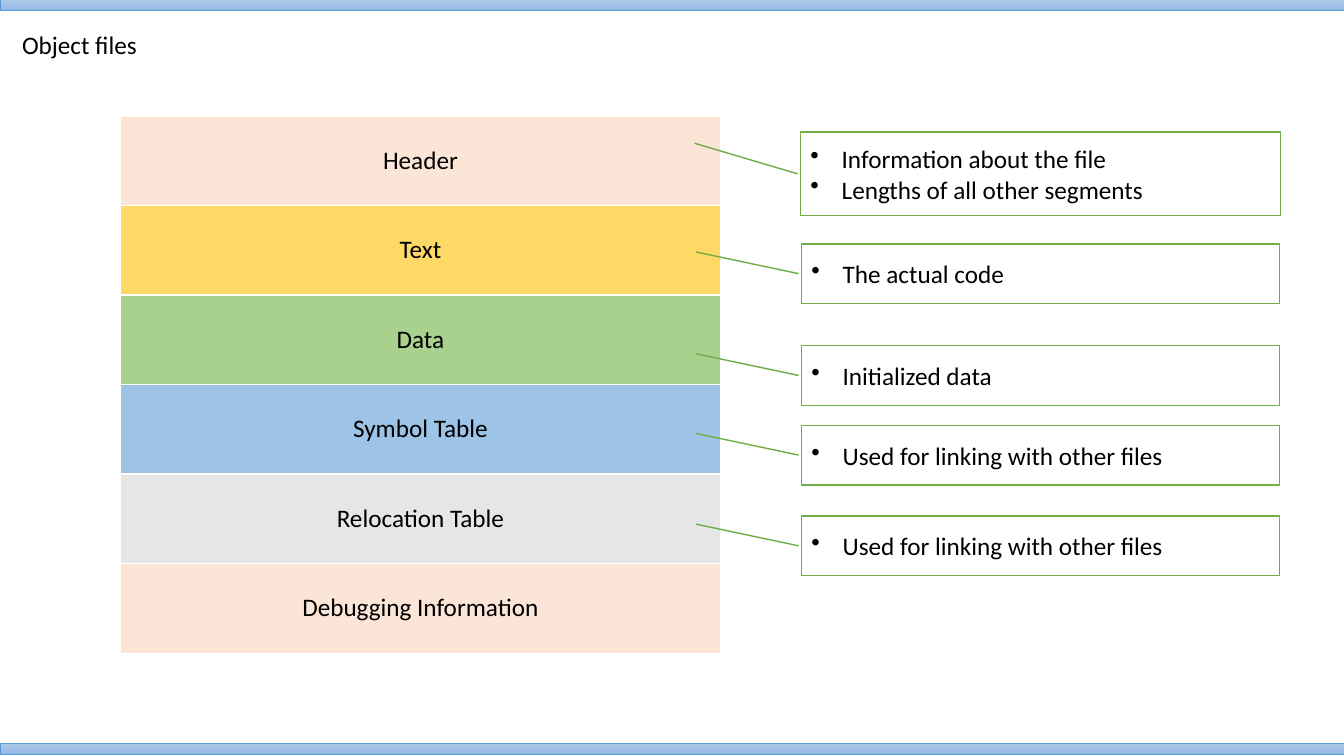
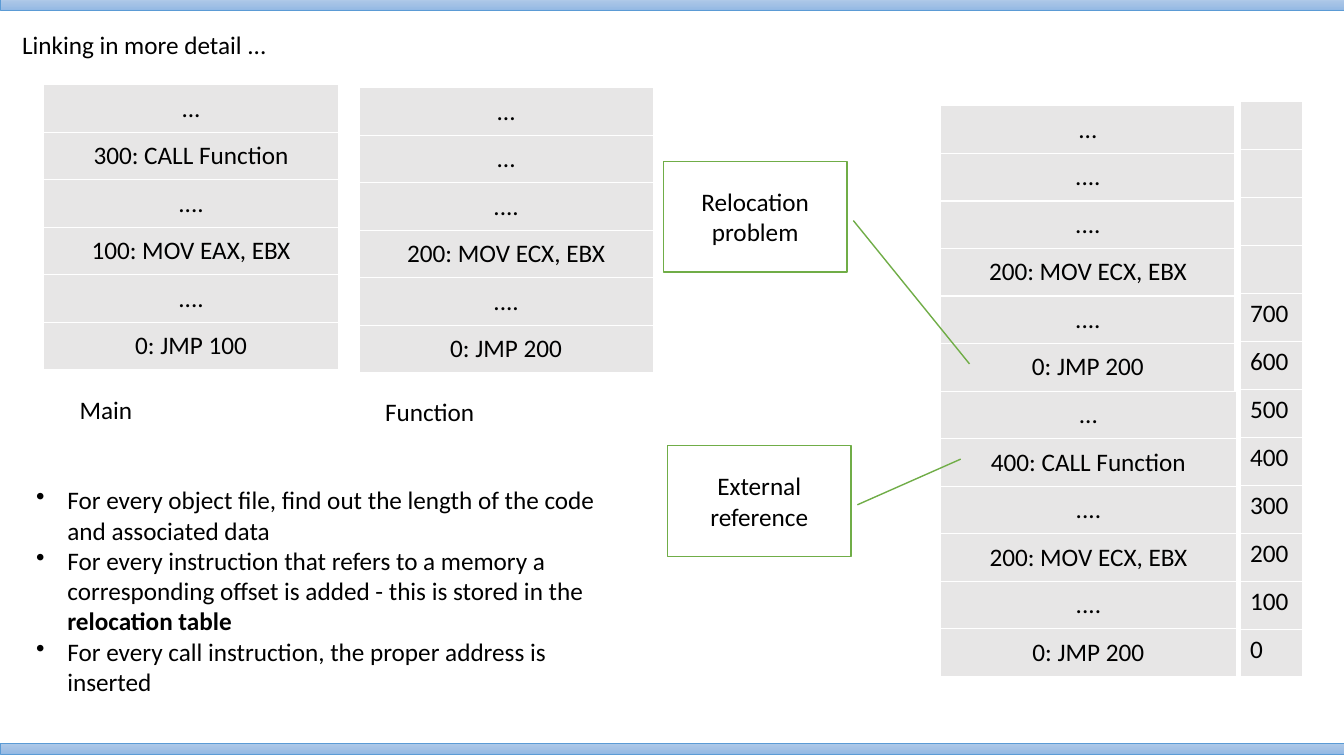
import pptx
import pptx.util
import pptx.dml.color
import pptx.enum.shapes
import pptx.enum.text
import pptx.oxml
import pptx.oxml.ns
import copy

Inches, Pt = pptx.util.Inches, pptx.util.Pt
RGBColor = pptx.dml.color.RGBColor
SHAPE = pptx.enum.shapes.MSO_SHAPE
ALIGN = pptx.enum.text.PP_ALIGN
ANCHOR = pptx.enum.text.MSO_ANCHOR

# Colours and type
BLACK = RGBColor(0, 0, 0)
WHITE = RGBColor(255, 255, 255)
PEACH = RGBColor(0xFB, 0xE5, 0xD6)
YELLOW = RGBColor(0xFF, 0xD9, 0x66)
LIGHT_GREEN = RGBColor(0xA9, 0xD1, 0x8E)
LIGHT_BLUE = RGBColor(0x9D, 0xC3, 0xE6)
GRAY = RGBColor(0xE7, 0xE6, 0xE6)
GREEN = RGBColor(0x70, 0xAD, 0x47)
BAND_LINE = RGBColor(0x5B, 0x9B, 0xD5)
BAND_STOPS = [RGBColor(0xB1, 0xCB, 0xE9), RGBColor(0xA3, 0xC1, 0xE5), RGBColor(0x93, 0xB9, 0xE4)]
FONT, SIZE = "Calibri", 18
WIDTH, HEIGHT = 13.33, 7.5

# Content: object file segments and their notes
SEGMENTS = [
    ("Header", PEACH), ("Text", YELLOW), ("Data", LIGHT_GREEN),
    ("Symbol Table", LIGHT_BLUE), ("Relocation Table", GRAY),
    ("Debugging Information", PEACH),
]
NOTE_POINTER = (0.5, -0.006, 0.135, -0.221)
NOTES = [  # left, top, width, height, lines
    (7.94, 1.31, 4.76, 0.83, ["Information about the file", "Lengths of all other segments"]),
    (7.95, 2.42, 4.74, 0.59, ["The actual code"]),
    (7.95, 3.43, 4.74, 0.59, ["Initialized data"]),
    (7.95, 4.22, 4.74, 0.59, ["Used for linking with other files"]),
    (7.95, 5.12, 4.74, 0.59, ["Used for linking with other files"]),
]

# Content: linking example
CODE_HEIGHT = 2.83
CODE = [  # left, top, width, lines
    (0.43, 0.84, 2.93, ["...", "300: CALL Function", "....", "100: MOV EAX, EBX", "....", "0: JMP 100"]),
    (3.56, 0.87, 2.92, ["...", "...", "....", "200: MOV ECX, EBX", "....", "0: JMP 200"]),
    (9.33, 3.88, 2.93, ["...", "400: CALL Function", "....", "200: MOV ECX, EBX", "....", "0: JMP 200"]),
    (9.33, 1.05, 2.92, ["...", "....", "....", "200: MOV ECX, EBX", "....", "0: JMP 200"]),
]
ADDRESSES = [""] * 4 + [str(n) for n in range(700, -1, -100)]
CAPTIONS = [(0.69, 3.86, "Main"), (3.72, 3.88, "Function")]
PROBLEMS = [  # left, top, lines, pointer
    (6.58, 1.6, ["Relocation", "problem"], (1.828, 1.668, 0.535, 1.035)),
    (6.62, 4.42, ["External", "reference"], (0.123, 1.598, 0.535, 1.035)),
]
STEPS = [
    "For every object file, find out the length of the code and associated data",
    [("For every instruction that refers to a memory a corresponding offset is added"
      " - this is stored in the ", False), ("relocation table", True)],
    "For every call instruction, the proper address is inserted",
]


def write(tf, paragraphs, align=ALIGN.LEFT, bullet=False):
    """Each paragraph is a string or a list of (text, bold) runs."""
    for i, runs in enumerate(paragraphs):
        p = tf.paragraphs[0] if i == 0 else tf.add_paragraph()
        p.alignment = align
        if bullet:
            pPr = p._p.get_or_add_pPr()
            pPr.set("marL", str(Inches(0.31)))
            pPr.set("indent", str(-Inches(0.31)))
            pptx.oxml.ns.qn("a:buChar")
            bu = pPr.makeelement(pptx.oxml.ns.qn("a:buChar"), {"char": "\u2022"})
            pPr.append(bu)
        for text, bold in [(runs, False)] if isinstance(runs, str) else runs:
            r = p.add_run()
            r.text = text
            r.font.name, r.font.size, r.font.bold = FONT, Pt(SIZE), bold
            r.font.color.rgb = BLACK


def add_text(s, left, top, width, height, paragraphs, **fmt):
    tf = s.shapes.add_textbox(*map(Inches, (left, top, width, height))).text_frame
    tf.word_wrap = True
    tf.auto_size = pptx.enum.text.MSO_AUTO_SIZE.SHAPE_TO_FIT_TEXT
    write(tf, paragraphs, **fmt)


def add_box(s, kind, left, top, width, height, line, weight):
    sp = s.shapes.add_shape(kind, *map(Inches, (left, top, width, height)))
    sp.shadow.inherit = False
    sp.line.color.rgb, sp.line.width = line, Pt(weight)
    return sp


def add_callout(s, left, top, width, height, lines, pointer, **fmt):
    sp = add_box(s, SHAPE.LINE_CALLOUT_1, left, top, width, height, GREEN, 1)
    sp.fill.solid()
    sp.fill.fore_color.rgb = WHITE
    for i, value in enumerate(pointer):
        sp.adjustments[i] = value
    sp.text_frame.vertical_anchor = ANCHOR.MIDDLE
    write(sp.text_frame, lines, **fmt)


def add_stack(s, left, top, width, height, rows, anchor=ANCHOR.MIDDLE, align=ALIGN.CENTER):
    """One-column table of (text, fill) rows; white rules come from the table style."""
    table = s.shapes.add_table(len(rows), 1, *map(Inches, (left, top, width, height))).table
    for i, (text, fill) in enumerate(rows):
        table.rows[i].height = Inches(height / len(rows))
        cell = table.cell(i, 0)
        cell.fill.solid()
        cell.fill.fore_color.rgb = fill
        cell.vertical_anchor = anchor
        if text:
            write(cell.text_frame, [text], align=align)


def add_slide(prs, title):
    s = prs.slides.add_slide(prs.slide_layouts[6])
    for top in (-0.01, 7.37):
        band = add_box(s, SHAPE.RECTANGLE, 0, top, WIDTH, 0.11, BAND_LINE, 0.5)
        band.fill.gradient()
        band.fill.gradient_angle = 270
        first = band.element.xpath(".//a:gs")[0]
        first.addnext(copy.deepcopy(first))
        for i, (stop, color) in enumerate(zip(band.fill.gradient_stops, BAND_STOPS)):
            stop.position = i / 2
            stop.color.rgb = color
    add_text(s, 0.12, 0.24, 12.28, 0.42, [title])
    return s


prs = pptx.Presentation()
prs.slide_width, prs.slide_height = Inches(WIDTH), Inches(HEIGHT)

# Object files
s = add_slide(prs, "Object files")
add_stack(s, 1.19, 1.15, 5.96, 5.33, SEGMENTS)
for left, top, width, height, lines in NOTES:
    add_callout(s, left, top, width, height, lines, NOTE_POINTER, bullet=True)

# Linking
s = add_slide(prs, "Linking in more detail ...")
for left, top, width, lines in CODE:
    add_stack(s, left, top, width, CODE_HEIGHT, [(line, GRAY) for line in lines])
for left, top, caption in CAPTIONS:
    add_text(s, left, top, 2.48, 0.42, [caption])
for left, top, lines, pointer in PROBLEMS:
    add_callout(s, left, top, 1.82, 1.1, lines, pointer, align=ALIGN.CENTER)
add_stack(s, 12.3, 1.01, 0.62, 5.71, [(a, GRAY) for a in ADDRESSES],
          anchor=ANCHOR.TOP, align=ALIGN.LEFT)
add_text(s, 0.26, 4.76, 6.04, 2.22, STEPS, bullet=True)

prs.save("out.pptx")
